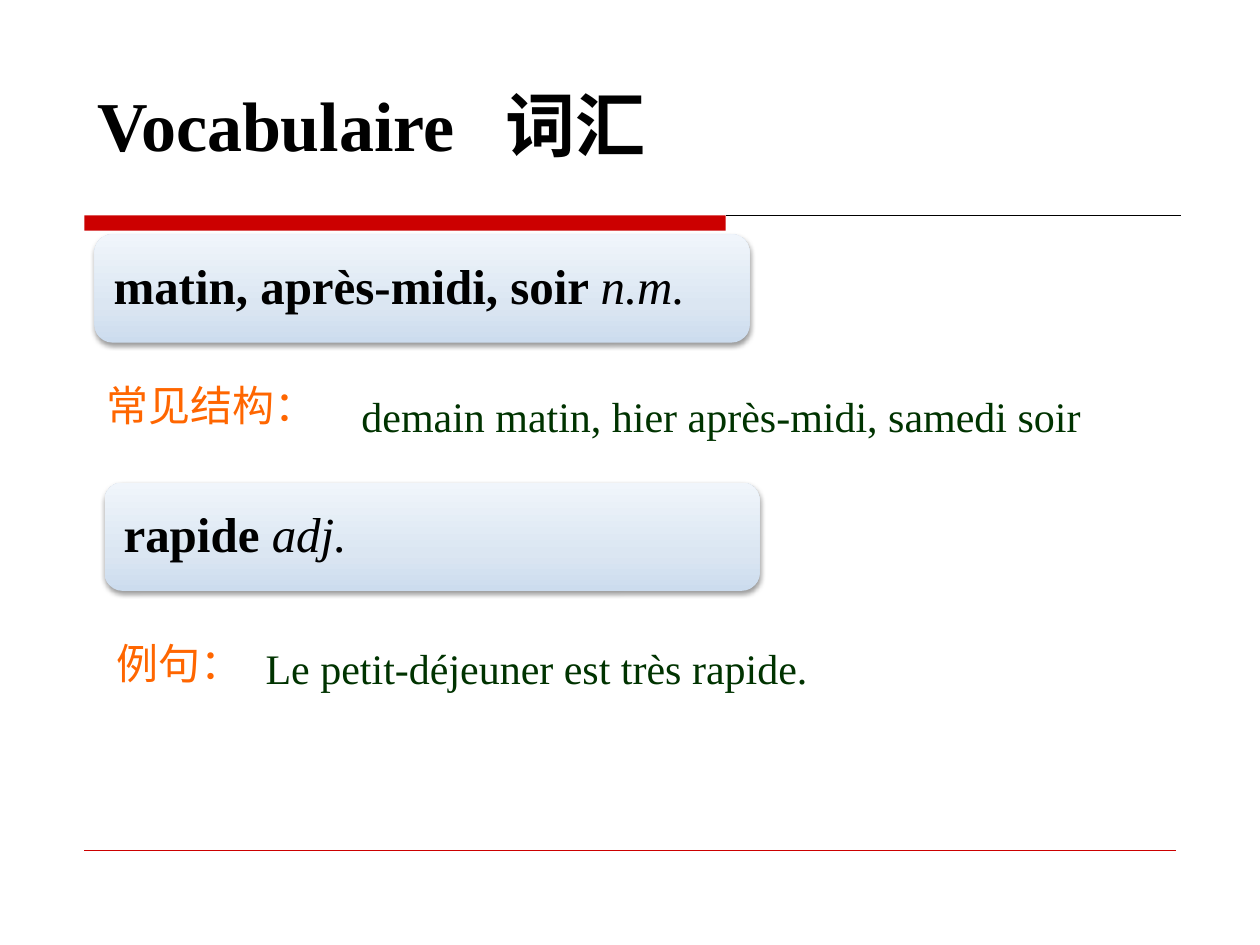
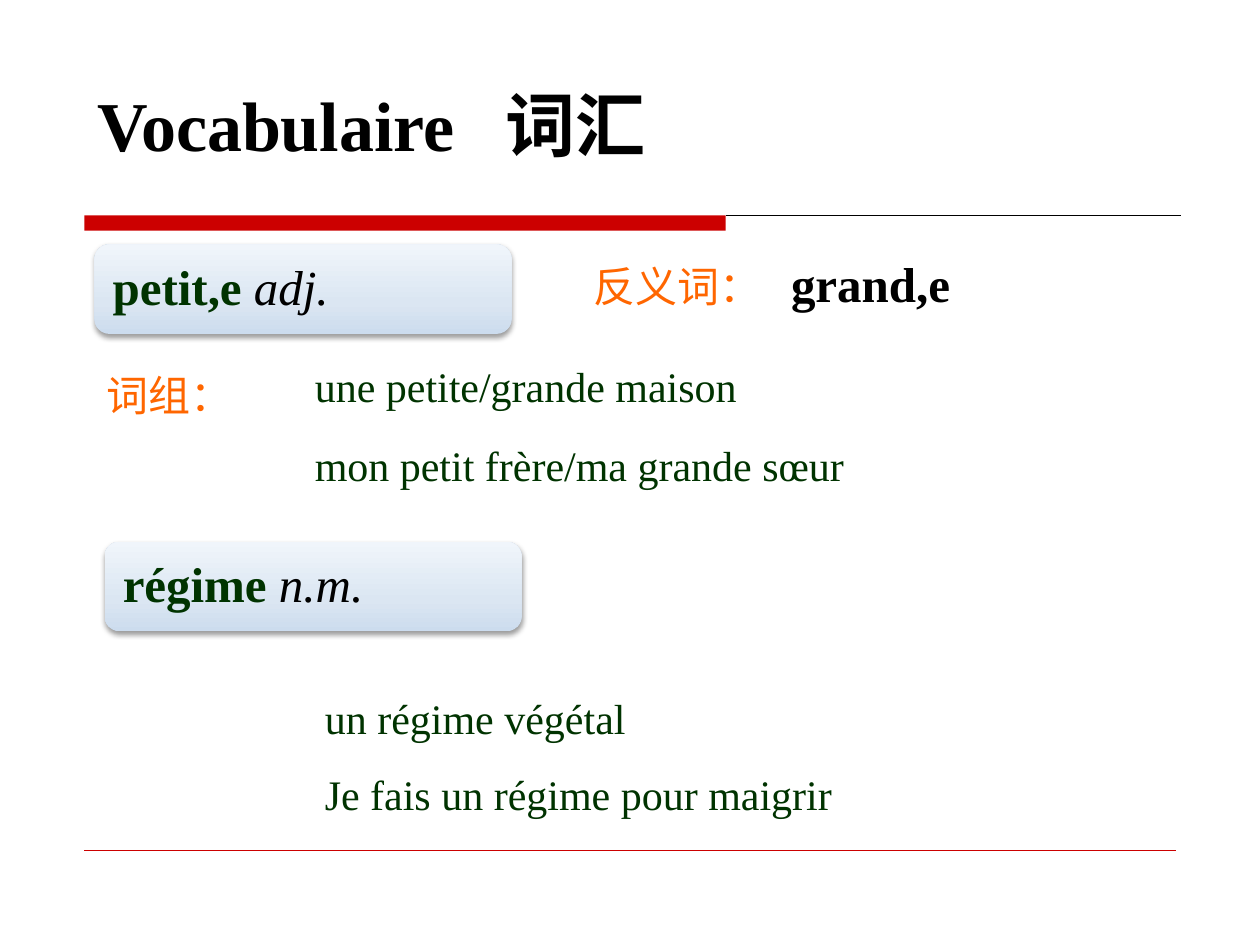
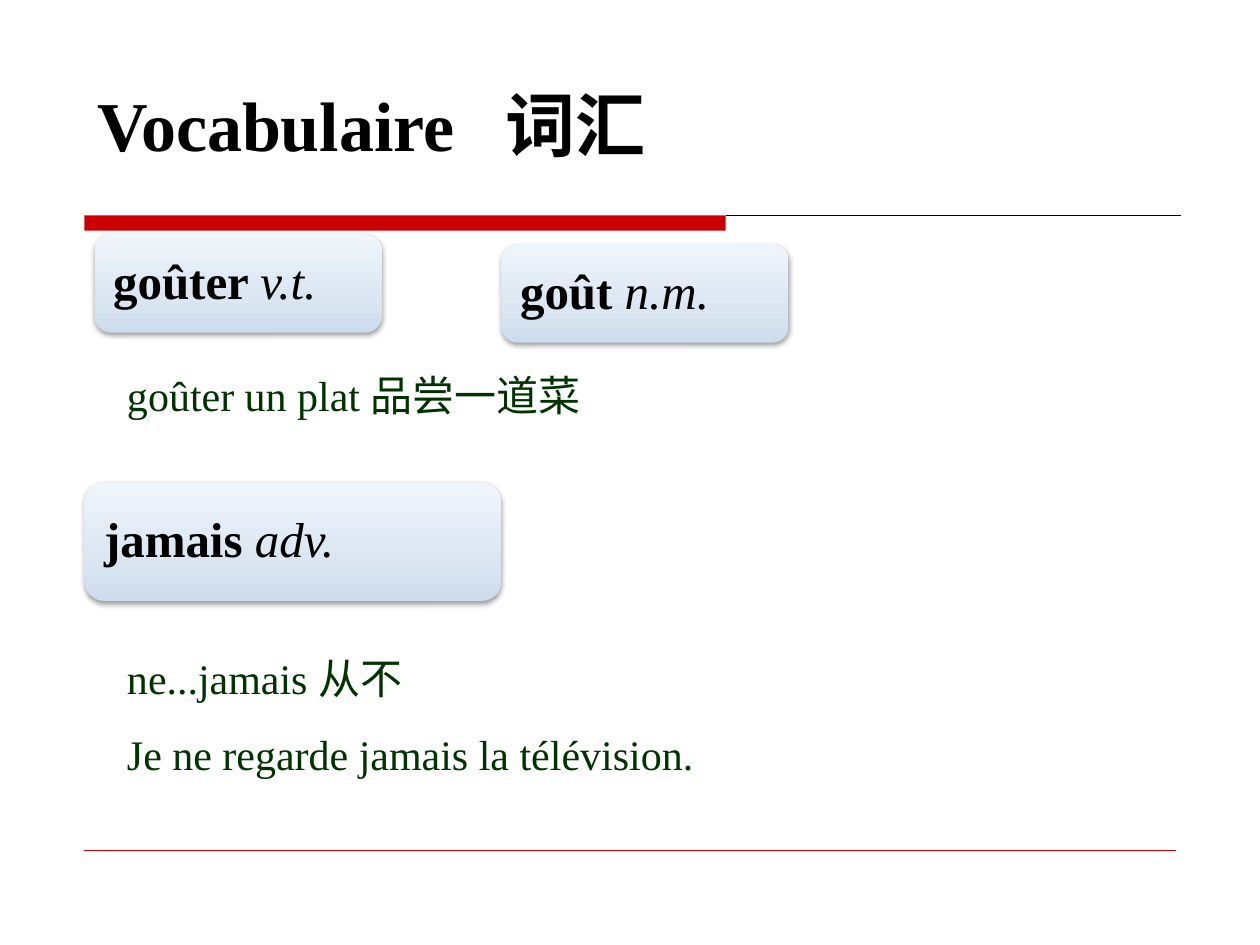
from pptx import Presentation
from pptx.dml.color import RGBColor
from pptx.enum.shapes import MSO_CONNECTOR, MSO_SHAPE
from pptx.enum.text import MSO_ANCHOR, MSO_AUTO_SIZE, PP_ALIGN
from pptx.oxml import parse_xml
from pptx.oxml.ns import nsdecls
from pptx.util import Inches, Pt
from lxml.etree import SubElement

HUES = {"red": "CC0000", "ink": "000000", "green": "003300", "orange": "FF6600",
        "low": "CCDCEE", "mid": "DBE6F2", "high": "F0F5FB"}
LATIN, HAN = "Times New Roman", "Noto Sans CJK SC"
MAIN = "{http://schemas.openxmlformats.org/drawingml/2006/main}"


def color(hue):
    return RGBColor.from_string(HUES[hue])


def add_run(para, text, size, hue="green", bold=False, slant=False, face=LATIN):
    run = para.add_run()
    run.text = text
    font = run.font
    font.name, font.size, font.bold, font.italic = face, Pt(size), bold, slant
    font.color.rgb = color(hue)
    SubElement(font._element, MAIN + "ea", typeface=HAN)


def add_note(slide, box, *lines, space=1.0, size=24, hue="green", bold=False,
             face=LATIN):
    shape = slide.shapes.add_textbox(*map(Inches, box))
    frame = shape.text_frame
    frame.word_wrap = True
    for num, text in enumerate(lines):
        para = frame.add_paragraph() if num else frame.paragraphs[0]
        para.line_spacing = space
        add_run(para, text, size, hue, bold, face=face)


def add_label(slide, left, top, text, width=1.6):
    add_note(slide, (left, top, width, 0.51), text, hue="orange", face=HAN)


def add_card(slide, box, word, kind, hue="ink"):
    card = slide.shapes.add_shape(MSO_SHAPE.ROUNDED_RECTANGLE, *map(Inches, box))
    card.line.fill.background()
    card.shadow.inherit = False
    props = card.element.spPr
    stops = "".join(
        f'<a:gs pos="{pos * 1000}"><a:srgbClr val="{HUES[name]}"/></a:gs>'
        for pos, name in ((0, "low"), (35, "mid"), (100, "high")))
    props.insert(2, parse_xml(
        f'<a:gradFill {nsdecls("a")} rotWithShape="1"><a:gsLst>{stops}</a:gsLst>'
        '<a:lin ang="16200000" scaled="0"/></a:gradFill>'))
    props.find(MAIN + "effectLst").append(parse_xml(
        f'<a:outerShdw {nsdecls("a")} blurRad="{Pt(3.1)}" dist="{Pt(1.6)}" '
        'dir="5400000" rotWithShape="0"><a:srgbClr val="000000">'
        '<a:alpha val="38000"/></a:srgbClr></a:outerShdw>'))
    frame = card.text_frame
    frame.word_wrap = True
    frame.vertical_anchor = MSO_ANCHOR.MIDDLE
    frame.margin_left = frame.margin_right = Inches(0.11)
    para = frame.paragraphs[0]
    para.alignment = PP_ALIGN.LEFT
    para.line_spacing = 0.9
    add_run(para, word + " ", 28, hue, bold=True)
    add_run(para, kind, 28, "ink", slant=True)


def add_rule(slide, left, right, top, hue, width):
    rule = slide.shapes.add_connector(
        MSO_CONNECTOR.STRAIGHT, *map(Inches, (left, top, right, top)))
    rule.line.color.rgb = color(hue)
    rule.line.width = Pt(width)
    SubElement(rule.element.spPr, MAIN + "effectLst")
    return rule


def add_frame(slide, left, top):
    rule = add_rule(slide, left + 5.09, left + 8.7, top, "ink", 0.75)
    band = slide.shapes.add_shape(
        MSO_SHAPE.RECTANGLE, *map(Inches, (left, top, 5.09, 0.12)))
    band.fill.solid()
    band.fill.fore_color.rgb = color("red")
    band.line.fill.background()
    band.shadow.inherit = False
    foot = add_rule(slide, left, left + 8.66, top + 5.04, "red", 0.25)
    for part in (rule, band, foot):
        slide.slide_layout.shapes.element.append(part.element)


def add_title(slide, box):
    title = slide.shapes.title
    title.left, title.top, title.width, title.height = map(Inches, box)
    frame = title.text_frame
    frame.auto_size = MSO_AUTO_SIZE.NONE
    frame.vertical_anchor = MSO_ANCHOR.TOP
    para = frame.paragraphs[0]
    tabs = SubElement(para._p.get_or_add_pPr(), MAIN + "tabLst")
    SubElement(tabs, MAIN + "tab", pos=str(Inches(3.24)), algn="l")
    para.alignment = PP_ALIGN.LEFT
    para.line_spacing = 1.0
    add_run(para, "Vocabulaire\t词汇", 40, "ink", bold=True)


def draw_times(slide, x, y):
    add_card(slide, (x, y, 5.2, 0.86), "matin, après-midi, soir", "n.m.")
    add_label(slide, x, y + 1.1, "常见结构：", 1.97)
    add_note(slide, (x + 2.02, y + 1.1, 7.11, 0.55),
             "demain matin, hier après-midi, samedi soir", space=Pt(35))
    add_card(slide, (x + 0.08, y + 1.97, 5.2, 0.86), "rapide", "adj.")
    add_label(slide, x + 0.08, y + 3.15, "例句：")
    add_note(slide, (x + 1.26, y + 2.99, 7.5, 0.63),
             "Le petit-déjeuner est très rapide.", space=1.5)


def draw_sizes(slide, x, y):
    add_card(slide, (x, y + 0.08, 3.31, 0.71), "petit,e", "adj.", "green")
    add_label(slide, x + 3.86, y + 0.16, "反义词：", 1.73)
    add_note(slide, (x + 5.43, y + 0.08, 2.2, 0.56), "grand,e", space=Pt(35),
             size=28, hue="ink", bold=True)
    add_label(slide, x, y + 1.02, "词组：")
    phrases = ("une petite/grande maison", "mon petit frère/ma grande sœur")
    for num, text in enumerate(phrases):
        add_note(slide, (x + 1.65, y + 0.95 + 0.63 * num, 4.64, 0.5), text)
    add_card(slide, (x + 0.08, y + 2.44, 3.31, 0.71), "régime", "n.m.", "green")
    add_note(slide, (x + 1.73, y + 3.39, 5, 1.24),
             "un régime végétal", "Je fais un régime pour maigrir", space=1.5)


def draw_tastes(slide, x, y):
    add_card(slide, (x, y, 2.28, 0.78), "goûter", "v.t.")
    add_note(slide, (x + 0.16, y + 1.02, 3.84, 0.5), "goûter un plat 品尝一道菜")
    add_card(slide, (x - 0.08, y + 1.97, 3.31, 0.94), "jamais", "adv.")
    add_note(slide, (x + 0.16, y + 3.07, 5, 1.24),
             "ne...jamais 从不", "Je ne regarde jamais la télévision.", space=1.5)
    add_card(slide, (x + 3.23, y + 0.08, 2.28, 0.78), "goût", "n.m.")


def main():
    deck = Presentation()
    deck.slide_width, deck.slide_height = Inches(10), Inches(7.5)
    for num, draw in enumerate((draw_times, draw_sizes, draw_tastes)):
        slide = deck.slides.add_slide(deck.slide_layouts[5])
        if num == 0:
            add_frame(slide, 0.67, 1.71)
        add_title(slide, (0.67, 0.6, 7.8, 0.77))
        draw(slide, 0.75, 1.86)
    deck.save("out.pptx")


if __name__ == "__main__":
    main()
